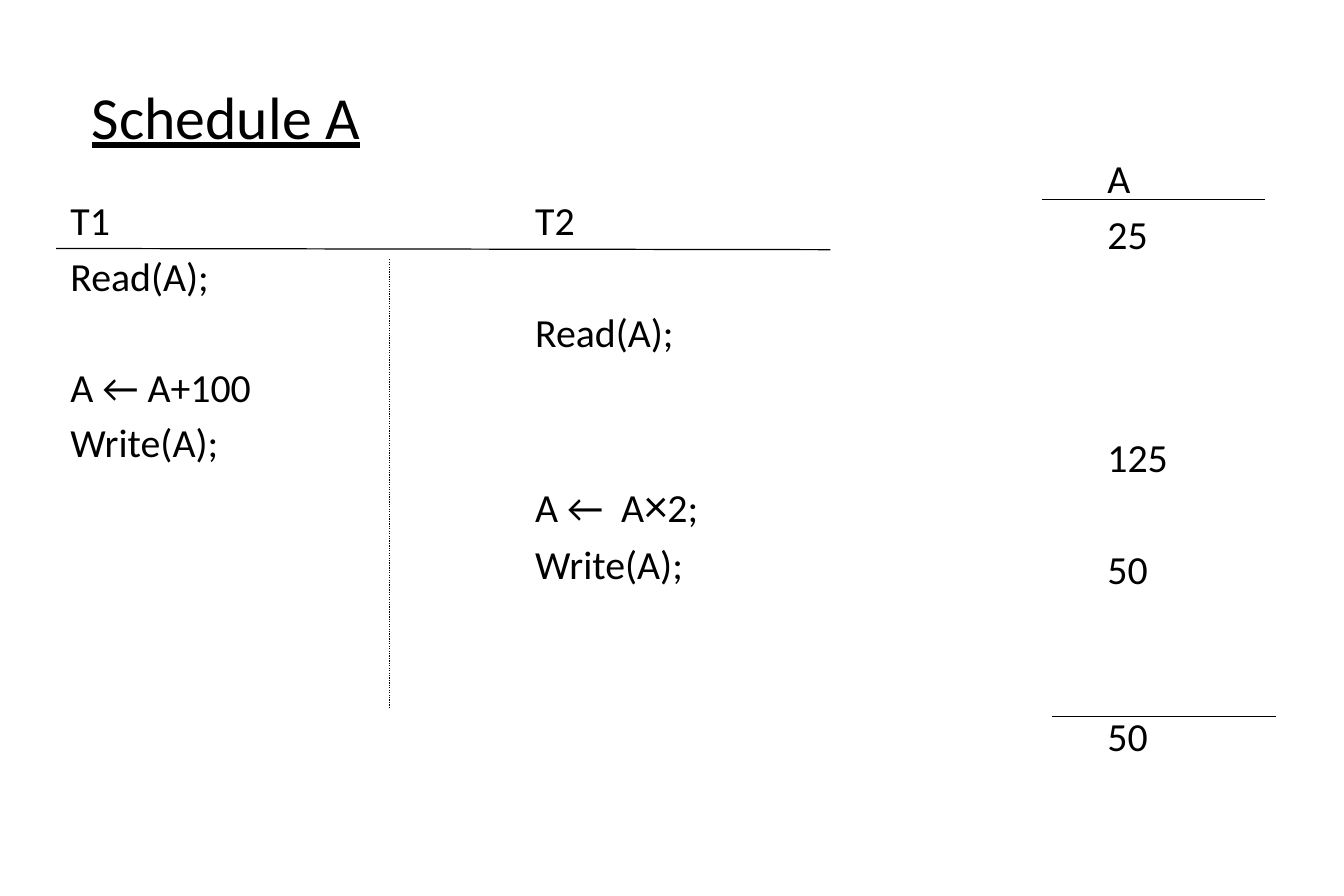
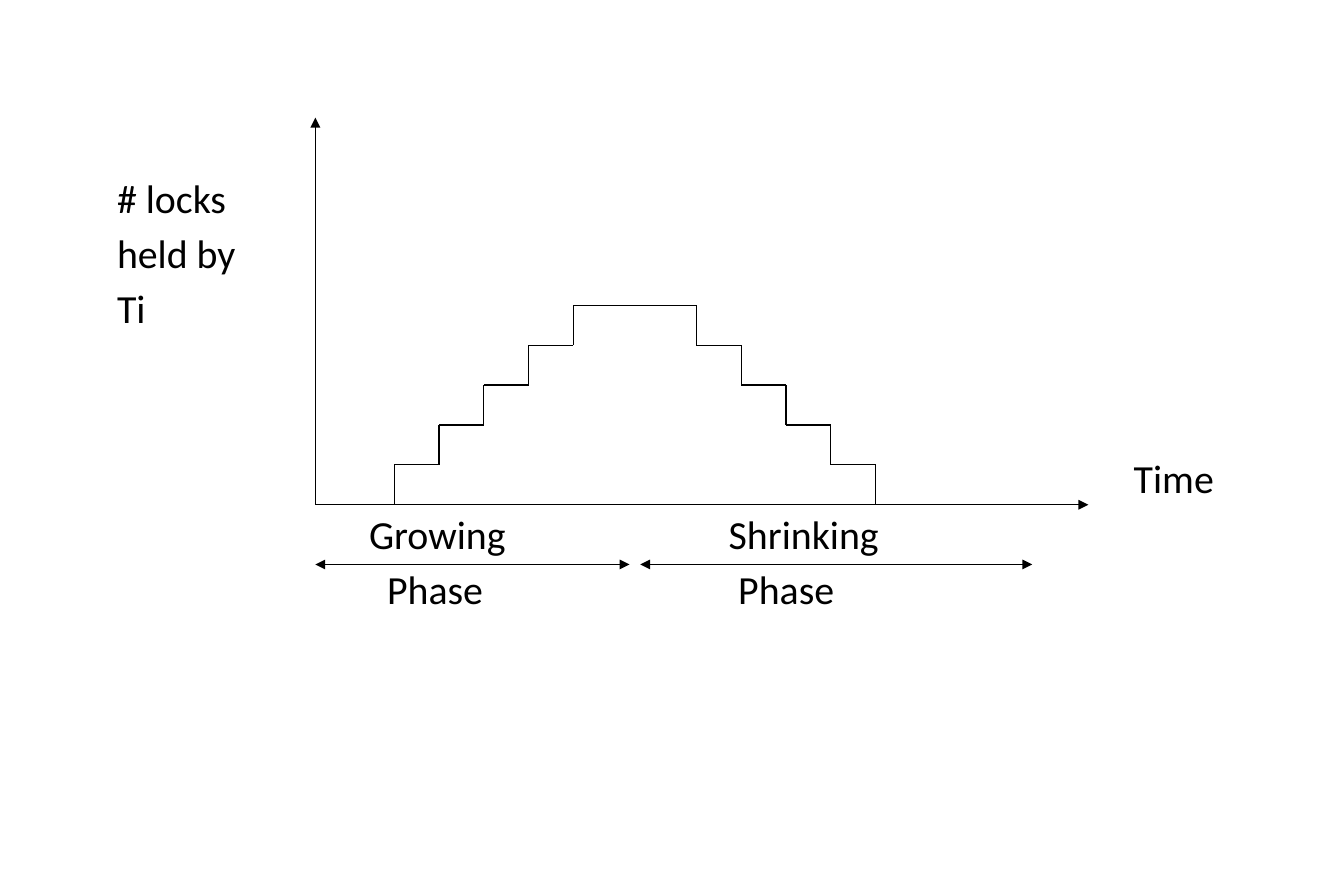
from pptx import Presentation
from pptx.dml.color import RGBColor
from pptx.enum.dml import MSO_LINE
from pptx.enum.shapes import MSO_CONNECTOR
from pptx.enum.text import MSO_ANCHOR
from pptx.oxml.ns import qn
from pptx.util import Inches, Pt
from lxml.etree import SubElement

FONT = "Calibri"
INK = "000000"
BODY_SIZE = 24
TITLE_SIZE = 36
ROW_PITCH = 33.75  # points from one text row to the next
GAP_SHARE = 0.19   # gap above a row, as a share of its largest text size
LINE_WIDTH = 0.75


def colour(value):
    return RGBColor.from_string(value)


def row_height(rows):
    return rows * ROW_PITCH / 72


# Shared text and line helpers
def add_box(page, left, top, width, height):
    box = page.shapes.add_textbox(Inches(left), Inches(top), Inches(width), Inches(height))
    frame = box.text_frame
    frame.word_wrap = True
    frame.margin_left = frame.margin_right = Inches(0)
    frame.margin_top = frame.margin_bottom = Inches(0)
    return frame


def add_span(para, text, size=BODY_SIZE, underline=None):
    span = para.add_run()
    span.text = text
    span.font.name = FONT
    span.font.size = Pt(size)
    span.font.underline = underline
    span.font.color.rgb = colour(INK)


def add_rows(page, left, top, width, entries):
    """Each entry is (row number, spans, indent); a span is (text, size)."""
    first_row, last_row = entries[0][0], entries[-1][0]
    frame = add_box(page, left, top + row_height(first_row), width,
                    row_height(last_row - first_row + 1))
    previous = None
    for row, spans, indent in entries:
        if previous is None:
            para = frame.paragraphs[0]
        else:
            para = frame.add_paragraph()
            gap = GAP_SHARE * max(size for _, size in spans)
            para.space_before = Pt(gap + (row - previous - 1) * ROW_PITCH)
        if indent:
            para._p.get_or_add_pPr().set("marL", str(Inches(indent)))
        for span in spans:
            add_span(para, *span)
        previous = row


def entry(row, text, indent=0):
    return row, [(text, BODY_SIZE)], indent


def add_title(page, text):
    frame = add_box(page, 0.65, 0.34, 9.56, 1.25)
    frame.margin_left = frame.margin_right = Inches(0.12)
    frame.vertical_anchor = MSO_ANCHOR.MIDDLE
    add_span(frame.paragraphs[0], text, TITLE_SIZE, True)


def add_line(page, start, end, dash=None, arrow=False):
    rule = page.shapes.add_connector(MSO_CONNECTOR.STRAIGHT,
                                     *(Inches(length) for length in (*start, *end)))
    rule.line.color.rgb = colour(INK)
    rule.line.width = Pt(LINE_WIDTH)
    if dash is not None:
        rule.line.dash_style = dash
    properties = rule._element.spPr
    if arrow:
        SubElement(properties.find(qn("a:ln")), qn("a:tailEnd")).set("type", "triangle")
    SubElement(properties, qn("a:effectLst"))


# Schedule: two transactions side by side
def add_schedule(page, left, top):
    text_top = top + 0.06
    add_rows(page, left + 0.12, text_top, 2.5, [
        entry(0, "T1"), entry(1, "Read(A);"), entry(3, "A ← A+100"), entry(4, "Write(A);")])
    product = [("A ←  A", BODY_SIZE), ("×", 28), ("2;", BODY_SIZE)]
    add_rows(page, left + 4.01, text_top, 2.5, [
        entry(0, "T2"), entry(2, "Read(A);"), (5, product, 0), entry(6, "Write(A);")])
    add_line(page, (left, top + 0.5), (left + 6.48, top + 0.51))
    add_line(page, (left + 2.79, top + 0.59), (left + 2.79, top + 4.34), MSO_LINE.ROUND_DOT)


# Values that A takes as the schedule runs
def add_value_column(page, left, top):
    values = [(0, "A"), (1, "25"), (5, "125"), (7, "50"), (10, "50")]
    add_rows(page, left + 0.55, top, 1.2, [entry(row, text) for row, text in values])
    for shift, drop in ((0, 0.38), (0.09, 4.71)):
        add_line(page, (left + shift, top + drop), (left + shift + 1.87, top + drop))


# Locks held over time: axes, staircase and phases
def add_lock_graph(page, left, base):
    for end in ((left + 6.47, base), (left, base - 3.24)):
        add_line(page, (left, base), end, arrow=True)

    # Each phase line points both ways from a point between its ends
    phase_top = base + 0.5
    for middle, *ends in ((0.94, 0, 2.63), (4.6, 2.72, 6)):
        for end in ends:
            add_line(page, (left + middle, phase_top), (left + end, phase_top), arrow=True)

    # Stairs climb from the left foot and from the right foot
    levels, tread, rise = 5, 0.375, 1.67 / 5
    for foot, direction in ((left + 0.66, 1), (left + 4.69, -1)):
        for level in range(levels):
            x, y = foot + direction * level * tread, base - level * rise
            add_line(page, (x, y), (x, y - rise))
            add_line(page, (x, y - rise), (x + direction * tread, y - rise))
    summit = base - levels * rise
    add_line(page, (left + 2.53, summit), (left + 2.91, summit))


def add_lock_labels(page, left, top):
    add_rows(page, left, top, 1.5, [
        entry(0, "# locks"), entry(1, "held by"), entry(2, "Ti")])
    add_rows(page, left + 8.51, top, 1, [entry(5, "Time")])
    for shift, name, indent in ((2.11, "Growing", 0.15), (5.12, "Shrinking", 0.08)):
        add_rows(page, left + shift, top, 1.8, [entry(6, name), entry(7, "Phase", indent)])


def main():
    deck = Presentation()
    deck.slide_width, deck.slide_height = Inches(11.25), Inches(7.5)
    blank = deck.slide_layouts[6]

    schedule_page = deck.slides.add_slide(blank)
    add_title(schedule_page, "Schedule A")
    add_schedule(schedule_page, 0.47, 1.58)
    add_value_column(schedule_page, 8.72, 1.29)

    locks_page = deck.slides.add_slide(blank)
    add_lock_labels(locks_page, 0.98, 1.45)
    add_lock_graph(locks_page, 2.64, 4.225)

    deck.save("out.pptx")


if __name__ == "__main__":
    main()
